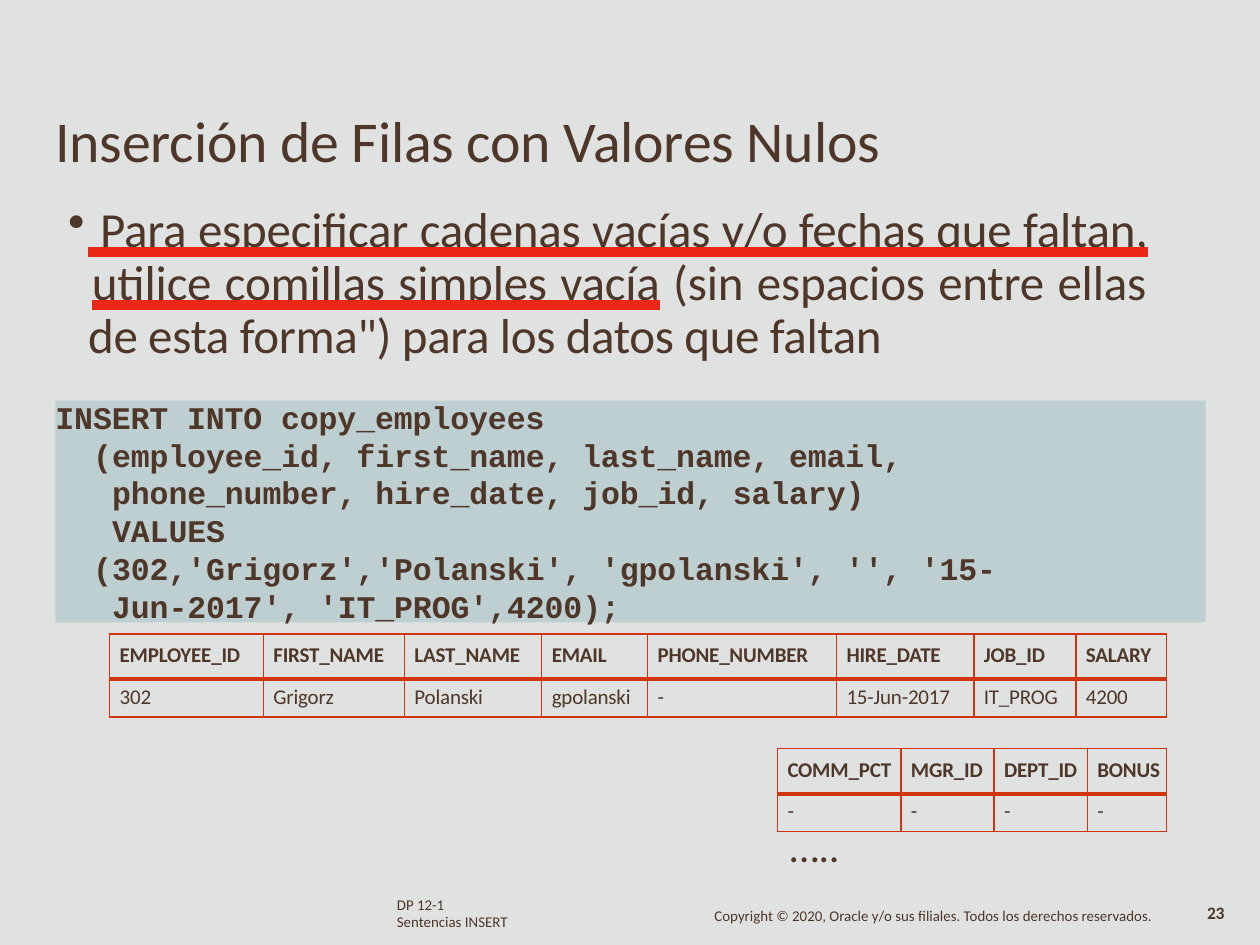
"""Build the slide on inserting rows with null values."""

from lxml.etree import SubElement
from pptx import Presentation
from pptx.dml.color import RGBColor
from pptx.enum.shapes import MSO_SHAPE as Shape
from pptx.enum.text import MSO_ANCHOR as Anchor
from pptx.enum.text import MSO_UNDERLINE as Underline
from pptx.enum.text import PP_ALIGN as Align
from pptx.oxml.ns import qn
from pptx.util import Inches, Pt

BROWN = RGBColor(0x4E, 0x36, 0x29)
RED = RGBColor(0xD1, 0x35, 0x0F)
UNDERLINE_RED = RGBColor(0xEB, 0x27, 0x15)
GREY = RGBColor(0xE0, 0xE2, 0xE1)
CODE_BLUE = RGBColor(0x9D, 0xBE, 0xC4)

CODE = [
    ("INSERT INTO copy_employees", 0, 0, 17.9),
    ("(employee_id, first_name, last_name, email, phone_number, hire_date, job_id, salary)",
     0.45, -0.15, 21.6),
    ("VALUES", 0.45, 0, 21.6),
    ("(302,'Grigorz','Polanski', 'gpolanski', '', '15-Jun-2017', 'IT_PROG',4200);",
     0.45, -0.15, 21.6),
]
EMPLOYEE = [
    ("EMPLOYEE_ID", "302", 1.22),
    ("FIRST_NAME", "Grigorz", 1.12),
    ("LAST_NAME", "Polanski", 1.09),
    ("EMAIL", "gpolanski", 0.84),
    ("PHONE_NUMBER", "-", 1.5),
    ("HIRE_DATE", "15-Jun-2017", 1.09),
    ("JOB_ID", "IT_PROG", 0.81),
    ("SALARY", "4200", 0.72),
]
REMAINING = [
    ("COMM_PCT", "-", 0.98),
    ("MGR_ID", "-", 0.74),
    ("DEPT_ID", "-", 0.74),
    ("BONUS", "-", 0.63),
]


def set_format(target, **values):
    """Set each given value as an attribute of the target."""
    for name, value in values.items():
        setattr(target, name, value)


def add_solid_fill(parent, color):
    """Append a solid fill to an XML element."""
    fill = SubElement(parent, qn("a:solidFill"))
    return SubElement(fill, qn("a:srgbClr"), val=str(color))


def add_span(para, text, size, spacing=-0.1, underlined=False, **font_values):
    """Add a run of brown text to a paragraph."""
    span = para.add_run()
    span.text = text
    properties = span._r.get_or_add_rPr()
    properties.set("spc", str(round(spacing * 100)))
    if underlined:
        add_solid_fill(SubElement(properties, qn("a:uFill")), UNDERLINE_RED)
        span.font.underline = Underline.HEAVY_LINE
    set_format(span.font, **{"name": "Calibri", "size": Pt(size), **font_values})
    span.font.color.rgb = BROWN


def set_frame(frame, top=0):
    """Make a wrapping text frame with no inset but the top one."""
    set_format(frame, word_wrap=True, vertical_anchor=Anchor.TOP, margin_left=0,
               margin_right=0, margin_top=Inches(top), margin_bottom=0)


def add_box(page, place, top=0):
    """Add an empty text box and return its frame."""
    frame = page.shapes.add_textbox(*map(Inches, place)).text_frame
    set_frame(frame, top)
    return frame


def add_label(page, place, lines, size, top=0, **font_values):
    """Add a text box from pairs of text and line spacing in points."""
    frame = add_box(page, place, top)
    for index, (text, pitch) in enumerate(lines):
        para = frame.add_paragraph() if index else frame.paragraphs[0]
        para.line_spacing = Pt(pitch) if pitch else None
        add_span(para, text, size, **font_values)


def add_bullet_text(page):
    """Add the justified bullet with its underlined advice."""
    para = add_box(page, (0.53, 1.55, 8.58, 1.33), 0.07).paragraphs[0]
    properties = para._p.get_or_add_pPr()
    properties.set("marL", str(Inches(0.17)))
    properties.set("indent", str(Inches(-0.16)))
    add_solid_fill(SubElement(properties, qn("a:buClr")), RED)
    SubElement(properties, qn("a:buChar"), char="•")
    tabs = SubElement(properties, qn("a:tabLst"))
    SubElement(tabs, qn("a:tab"), pos=str(Inches(0.2)), algn="l")
    set_format(para, alignment=Align.JUSTIFY, line_spacing=Pt(30.3))
    add_span(para, " ", 28, -5.2, True)
    add_span(para, "Para especificar cadenas vacías y/o fechas que faltan,", 28, underlined=True)
    add_span(para, " \t", 28)
    add_span(para, "utilice comillas simples vacía", 28, underlined=True)
    add_span(para, " (sin espacios entre ellas \t", 28)
    add_span(para, "de esta forma\") para los datos que faltan", 28, -0.2)


def add_code(page):
    """Add the SQL statement on its translucent panel."""
    panel = page.shapes.add_shape(Shape.RECTANGLE, *map(Inches, (0.44, 3.18, 9.13, 1.76)))
    panel.shadow.inherit = False
    panel.line.fill.background()
    panel.fill.solid()
    panel.fill.fore_color.rgb = CODE_BLUE
    color = panel._element.spPr.find(qn("a:solidFill")).find(qn("a:srgbClr"))
    SubElement(color, qn("a:alpha"), val="50000")
    frame = panel.text_frame
    set_frame(frame, 0.03)
    for index, (text, left, indent, pitch) in enumerate(CODE):
        para = frame.add_paragraph() if index else frame.paragraphs[0]
        properties = para._p.get_or_add_pPr()
        for name, length in {"marL": left, "marR": 1, "indent": indent}.items():
            properties.set(name, str(Inches(length)))
        set_format(para, alignment=Align.LEFT, line_spacing=Pt(pitch))
        add_span(para, text, 18, -0.05, name="Courier New", bold=True)


def set_borders(cell, widths):
    """Draw red borders of the given widths in points."""
    properties = cell._tc.get_or_add_tcPr()
    for side, width in widths.items():
        line = SubElement(properties, qn(f"a:ln{side}"), w=str(Pt(width)))
        add_solid_fill(line, RED)


def add_record(page, left, top, columns):
    """Add a table of column names over one row of values."""
    heights = (0.36, 0.3)
    total = sum(width for _, _, width in columns)
    table = page.shapes.add_table(
        2, len(columns), *map(Inches, (left, top, total, sum(heights)))).table
    set_format(table, first_row=False, horz_banding=False)
    for row, height in zip(table.rows, heights):
        row.height = Inches(height)
    for index, (name, value, width) in enumerate(columns):
        table.columns[index].width = Inches(width)
        rows = ((name, 0.07, True, 1, 2.25), (value, 0.04, False, 2.25, 1))
        for row, (text, inset, bold, above, below) in enumerate(rows):
            cell = table.cell(row, index)
            set_format(cell, margin_left=Inches(0.08), margin_right=0,
                       margin_top=Inches(inset), margin_bottom=0)
            set_borders(cell, {"L": 1, "R": 1, "T": above, "B": below})
            cell.fill.background()
            add_span(cell.text_frame.paragraphs[0], text, 12, bold=bold)


def main():
    """Build and save the deck."""
    deck = Presentation()
    set_format(deck, slide_width=Inches(10), slide_height=Inches(7.5))
    page = deck.slides.add_slide(deck.slide_layouts[6])
    page.background.fill.solid()
    page.background.fill.fore_color.rgb = GREY
    add_label(page, (0.44, 0.82, 6.7, 0.58),
              [("Inserción de Filas con Valores Nulos", None)], 33, 0.01)
    add_label(page, (3.15, 7.13, 0.92, 0.27),
              [("DP 12-1", 8.6), ("Sentencias INSERT", 9.7)], 8.5, spacing=0)
    add_label(page, (9.58, 7.18, 0.2, 0.17), [("23", 10.4)], 10, bold=True)
    add_label(page, (5.67, 7.21, 3.52, 0.15),
              [("Copyright © 2020, Oracle y/o sus filiales. Todos los derechos reservados.", 9.1)],
              8.5, spacing=0)
    add_bullet_text(page)
    add_record(page, 0.87, 5.03, EMPLOYEE)
    add_record(page, 6.17, 5.94, REMAINING)
    add_code(page)
    add_label(page, (6.27, 6.5, 0.43, 0.43), [("…..", None)], 24, 0.01, spacing=-0.2)
    deck.save("out.pptx")


if __name__ == "__main__":
    main()
